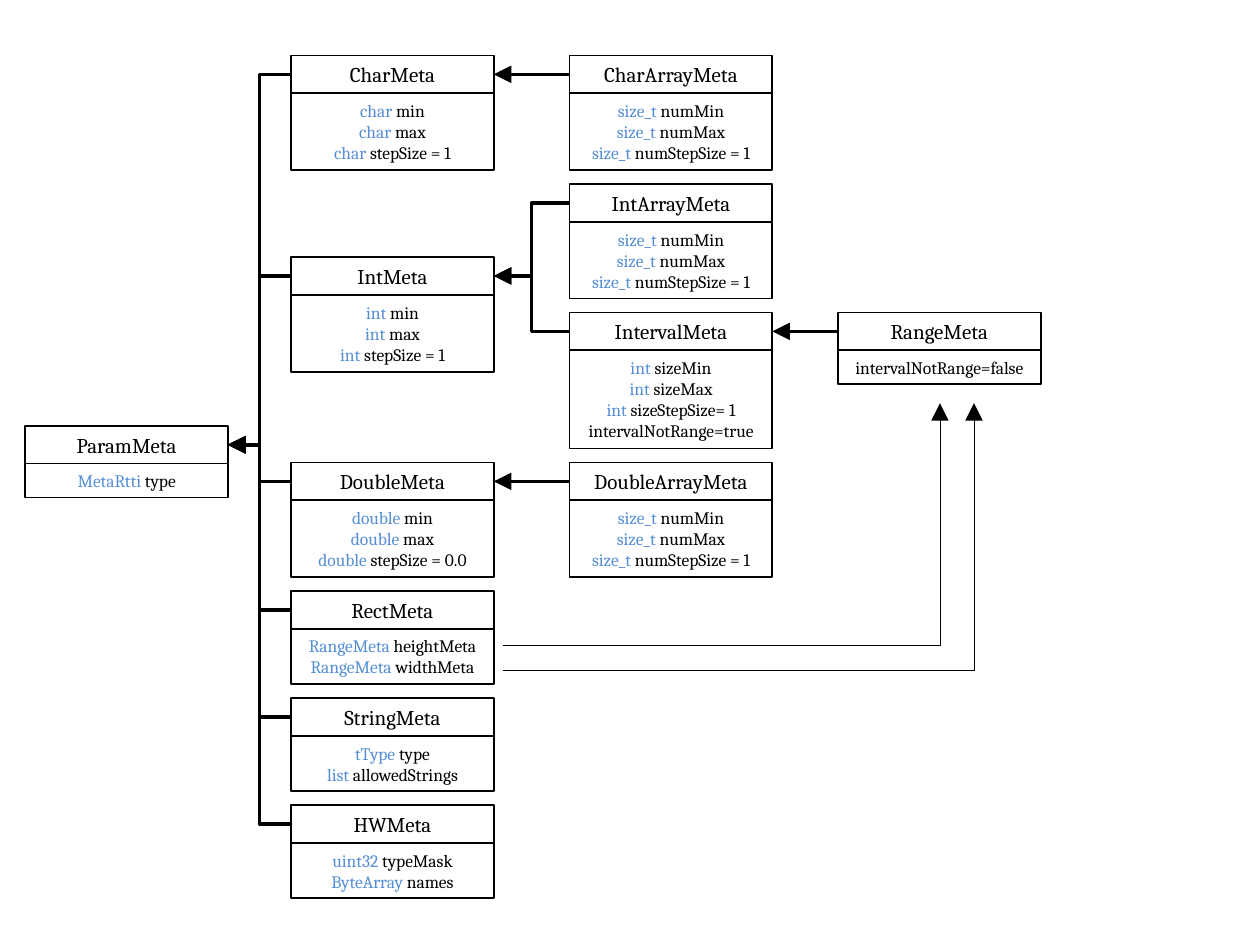
from pptx import Presentation
from pptx.dml.color import RGBColor
from pptx.enum.shapes import MSO_CONNECTOR, MSO_SHAPE
from pptx.enum.text import MSO_ANCHOR, MSO_AUTO_SIZE, PP_ALIGN
from pptx.oxml.ns import qn
from pptx.util import Inches, Pt
from lxml.etree import SubElement

COLORS = {"ink": "000000", "type": "558ED5", "paper": "FFFFFF"}
BOX_W, TITLE_H, GAP = 1.61, 0.3, 0.11
LEFT, RIGHT = 1, 3  # connection sites of a rectangle

ARRAY_FIELDS = ["size_t numMin", "size_t numMax", "size_t numStepSize = 1"]

# Each stack: left, top, then its classes with their fields
STACKS = [
    (0.2, 3.38, {"ParamMeta": ["MetaRtti type"]}),
    (2.31, 0.44, {"CharMeta": ["char min", "char max", "char stepSize = 1"]}),
    (2.31, 2.04, {"IntMeta": ["int min", "int max", "int stepSize = 1"]}),
    (2.31, 3.67, {
        "DoubleMeta": ["double min", "double max", "double stepSize = 0.0"],
        "RectMeta": ["RangeMeta heightMeta", "RangeMeta widthMeta"],
        "StringMeta": ["tType type", "list allowedStrings"],
        "HWMeta": ["uint32 typeMask", "ByteArray names"],
    }),
    (4.52, 0.44, {
        "CharArrayMeta": ARRAY_FIELDS,
        "IntArrayMeta": ARRAY_FIELDS,
        "IntervalMeta": ["int sizeMin", "int sizeMax", "int sizeStepSize= 1",
                         "intervalNotRange=true"],
        "DoubleArrayMeta": ARRAY_FIELDS,
    }),
    (6.65, 2.48, {"RangeMeta": ["intervalNotRange=false"]}),
]

CHILDREN = {
    "ParamMeta": ["CharMeta", "IntMeta", "DoubleMeta", "RectMeta", "StringMeta", "HWMeta"],
    "CharMeta": ["CharArrayMeta"],
    "IntMeta": ["IntArrayMeta", "IntervalMeta"],
    "DoubleMeta": ["DoubleArrayMeta"],
    "IntervalMeta": ["RangeMeta"],
}


def add_box(shapes, lines, x, y, h, size=10):
    """Add a bordered box; each line is a list of (text, color name) runs."""
    sp = shapes.add_shape(MSO_SHAPE.RECTANGLE, Inches(x), Inches(y), Inches(BOX_W), Inches(h))
    sp.shadow.inherit = False
    sp.fill.solid()
    sp.fill.fore_color.rgb = RGBColor.from_string(COLORS["paper"])
    sp.line.color.rgb = RGBColor.from_string(COLORS["ink"])
    sp.line.width = Pt(1)
    tf = sp.text_frame
    tf.word_wrap = True
    tf.auto_size = MSO_AUTO_SIZE.SHAPE_TO_FIT_TEXT
    tf.vertical_anchor = MSO_ANCHOR.MIDDLE
    for i, runs in enumerate(lines):
        p = tf.add_paragraph() if i else tf.paragraphs[0]
        p.alignment = PP_ALIGN.CENTER
        for text, color in runs:
            r = p.add_run()
            r.text = text
            r.font.name = "Cambria"
            r.font.size = Pt(size)
            r.font.color.rgb = RGBColor.from_string(COLORS[color])
    return sp


def add_arrow(shapes, x1, y1, x2, y2, width):
    """Add an elbow connector with a large triangle at its end."""
    cxn = shapes.add_connector(MSO_CONNECTOR.ELBOW, Inches(x1), Inches(y1), Inches(x2), Inches(y2))
    cxn.line.color.rgb = RGBColor.from_string(COLORS["ink"])
    cxn.line.width = Pt(width)
    SubElement(cxn.line._get_or_add_ln(), qn("a:tailEnd"), type="triangle", w="lg", len="lg")
    SubElement(cxn._element.spPr, qn("a:effectLst"))
    return cxn


prs = Presentation()
prs.slide_width, prs.slide_height = Inches(10), Inches(7.5)
s = prs.slides.add_slide(prs.slide_layouts[6])

titles = {}
for x, y, classes in STACKS:
    for name, fields in classes.items():
        group = s.shapes.add_group_shape()
        titles[name] = add_box(group.shapes, [[(name, "ink")]], x, y, TITLE_H, size=12)
        lines = []
        for field in fields:
            kind, space, member = field.partition(" ")
            lines.append([(kind + space, "type"), (member, "ink")] if member else [(kind, "ink")])
        body_h = 0.1 + 0.17 * len(fields)
        add_box(group.shapes, lines, x, y + TITLE_H, body_h)
        y += TITLE_H + body_h + GAP

# Inheritance arrows, from each child to its parent
for parent, children in CHILDREN.items():
    for child in children:
        cxn = add_arrow(s.shapes, 0, 0, 1, 1, 2)
        cxn.begin_connect(titles[child], LEFT)
        cxn.end_connect(titles[parent], RIGHT)

# Members of RectMeta that use RangeMeta: right, then straight up
for x, y in [(7.46, 5.12), (7.73, 5.32)]:
    cxn = add_arrow(s.shapes, 3.99, y, x, 3.2, 0.25)
    geom = cxn._element.spPr.find(qn("a:prstGeom"))
    SubElement(geom.find(qn("a:avLst")), qn("a:gd"), name="adj1", fmla="val 100000")

prs.save("out.pptx")
